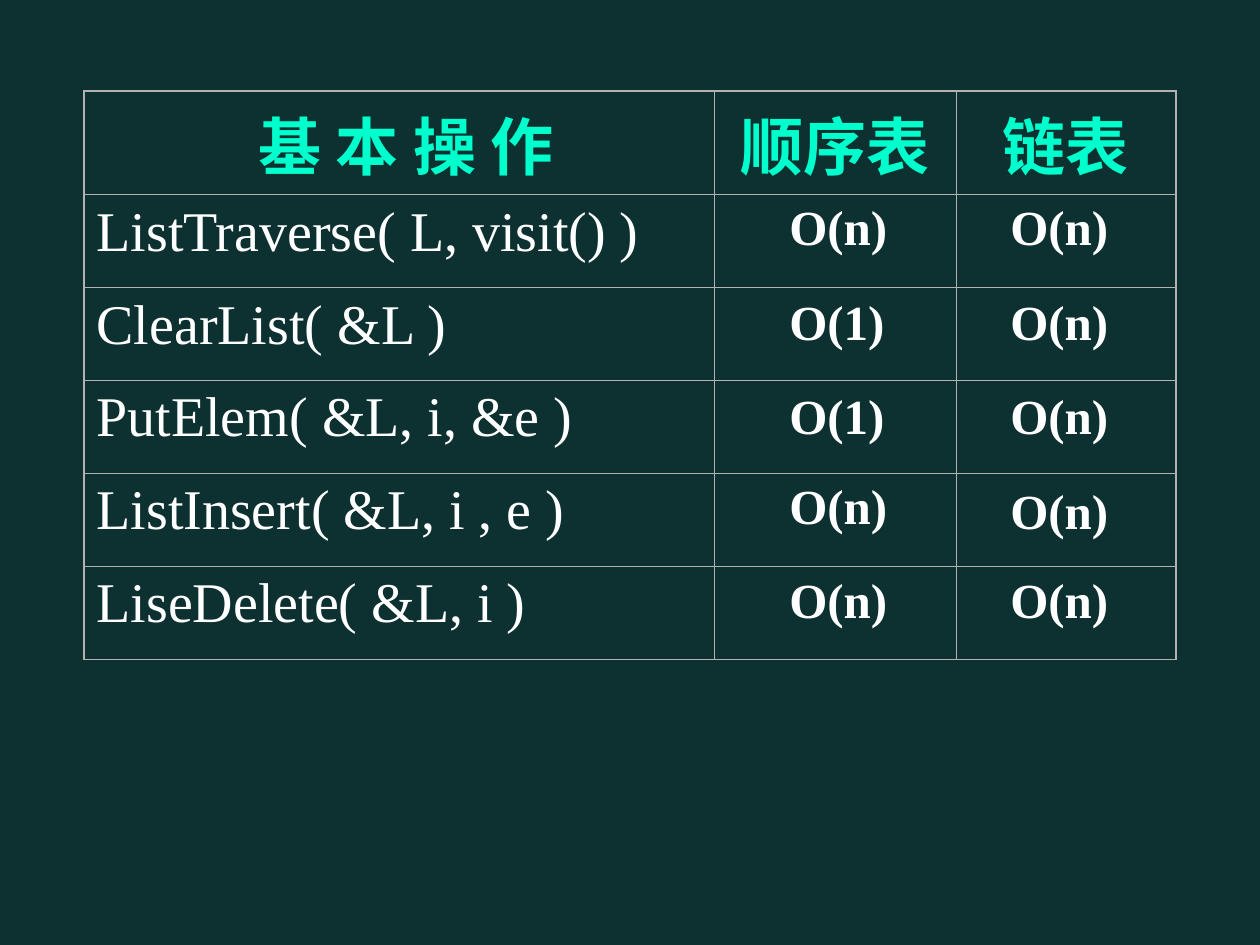
from lxml.etree import SubElement
from pptx import Presentation
from pptx.dml.color import RGBColor
from pptx.enum.text import MSO_ANCHOR, MSO_AUTO_SIZE, PP_ALIGN
from pptx.oxml.ns import qn
from pptx.util import Emu, Pt

HEADERS = ["基 本 操 作", "顺序表", "链表"]
OPERATIONS = [
    "ListTraverse( L, visit() )",
    "ClearList( &L )",
    "PutElem( &L, i, &e )",
    "ListInsert( &L, i , e )",
    "LiseDelete( &L, i )",
]
# Cost and top of its label, for the sequential list and the linked list
SEQUENTIAL = [("O(n)", 190), ("O(1)", 285), ("O(1)", 379), ("O(n)", 469), ("O(n)", 563)]
LINKED = [("O(n)", 190), ("O(n)", 285), ("O(n)", 379), ("O(n)", 474), ("O(n)", 563)]


def px(n):
    return Emu(round(n * 914400 / 126))


def rgb(color):
    return RGBColor.from_string(color)


class Deck:
    font = "Times New Roman"
    bg, white, accent, accent_dark, rule = "0C3130", "FFFFFF", "00FFCC", "00CC99", "B2B2B2"
    outer, inner = 1.08, 0.45

    def __init__(self):
        self.prs = Presentation()
        self.prs.slide_width, self.prs.slide_height = px(1260), px(945)

    def add_slide(self):
        self.s = self.prs.slides.add_slide(self.prs.slide_layouts[6])
        self.s.background.fill.solid()
        self.s.background.fill.fore_color.rgb = rgb(self.bg)

    def run(self, p, text, size, color, bold=False):
        r = p.add_run()
        r.text = text
        r.font.name, r.font.size, r.font.bold = self.font, Pt(size), bold
        r.font.color.rgb = rgb(color)

    def table(self, x, y, widths, heights):
        """Add an unfilled table with heavier rules on its outside."""
        rows, cols = len(heights), len(widths)
        tbl = self.s.shapes.add_table(
            rows, cols, px(x), px(y), px(sum(widths)), px(sum(heights))).table
        tbl.first_row = tbl.horz_banding = False
        for col, w in zip(tbl.columns, widths):
            col.width = px(w)
        for row, h in zip(tbl.rows, heights):
            row.height = px(h)
        for i in range(rows):
            for j in range(cols):
                cell = tbl.cell(i, j)
                edges = {"lnL": j == 0, "lnR": j == cols - 1,
                         "lnT": i == 0, "lnB": i == rows - 1}
                for tag, outside in edges.items():
                    self.border(cell, tag, self.outer if outside else self.inner)
                cell.fill.background()
        return tbl

    def border(self, cell, tag, width):
        tc_pr = cell._tc.get_or_add_tcPr()
        ln = SubElement(tc_pr, qn(f"a:{tag}"), w=str(Pt(width)))
        fill = SubElement(ln, qn("a:solidFill"))
        SubElement(fill, qn("a:srgbClr"), val=self.rule)

    def cost(self, text, x, y):
        sp = self.s.shapes.add_textbox(px(x), px(y), px(147), px(72))
        tf = sp.text_frame
        tf.word_wrap = True
        tf.auto_size = MSO_AUTO_SIZE.SHAPE_TO_FIT_TEXT
        tf.vertical_anchor = MSO_ANCHOR.TOP
        p = tf.paragraphs[0]
        p.space_before = Pt(17.5)
        self.run(p, text, 28, self.white, bold=True)


def main():
    deck = Deck()
    deck.add_slide()
    tbl = deck.table(84, 91, [630, 242, 220], [93] * (len(OPERATIONS) + 1))

    for j, text in enumerate(HEADERS):
        p = tbl.cell(0, j).text_frame.paragraphs[0]
        p.alignment, p.space_before = PP_ALIGN.CENTER, Pt(9)
        if j == 0:
            deck.run(p, " ", 36, deck.accent_dark)
        deck.run(p, text, 36, deck.accent, bold=True)

    for i, text in enumerate(OPERATIONS, 1):
        p = tbl.cell(i, 0).text_frame.paragraphs[0]
        p.space_before = Pt(8)
        deck.run(p, text, 32, deck.white)

    for x, costs in ((777, SEQUENTIAL), (998, LINKED)):
        for text, y in costs:
            deck.cost(text, x, y)

    deck.prs.save("out.pptx")


if __name__ == "__main__":
    main()
